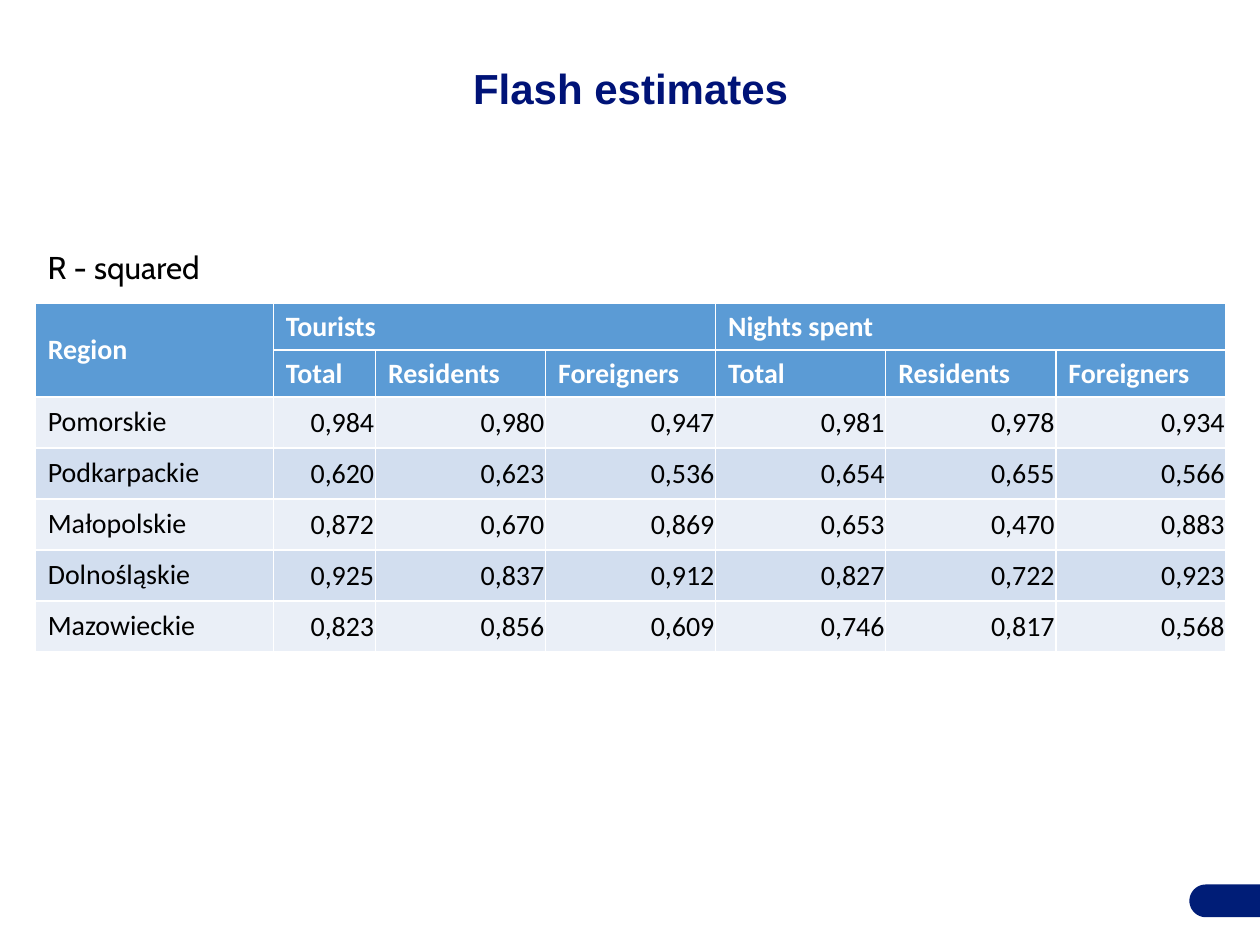
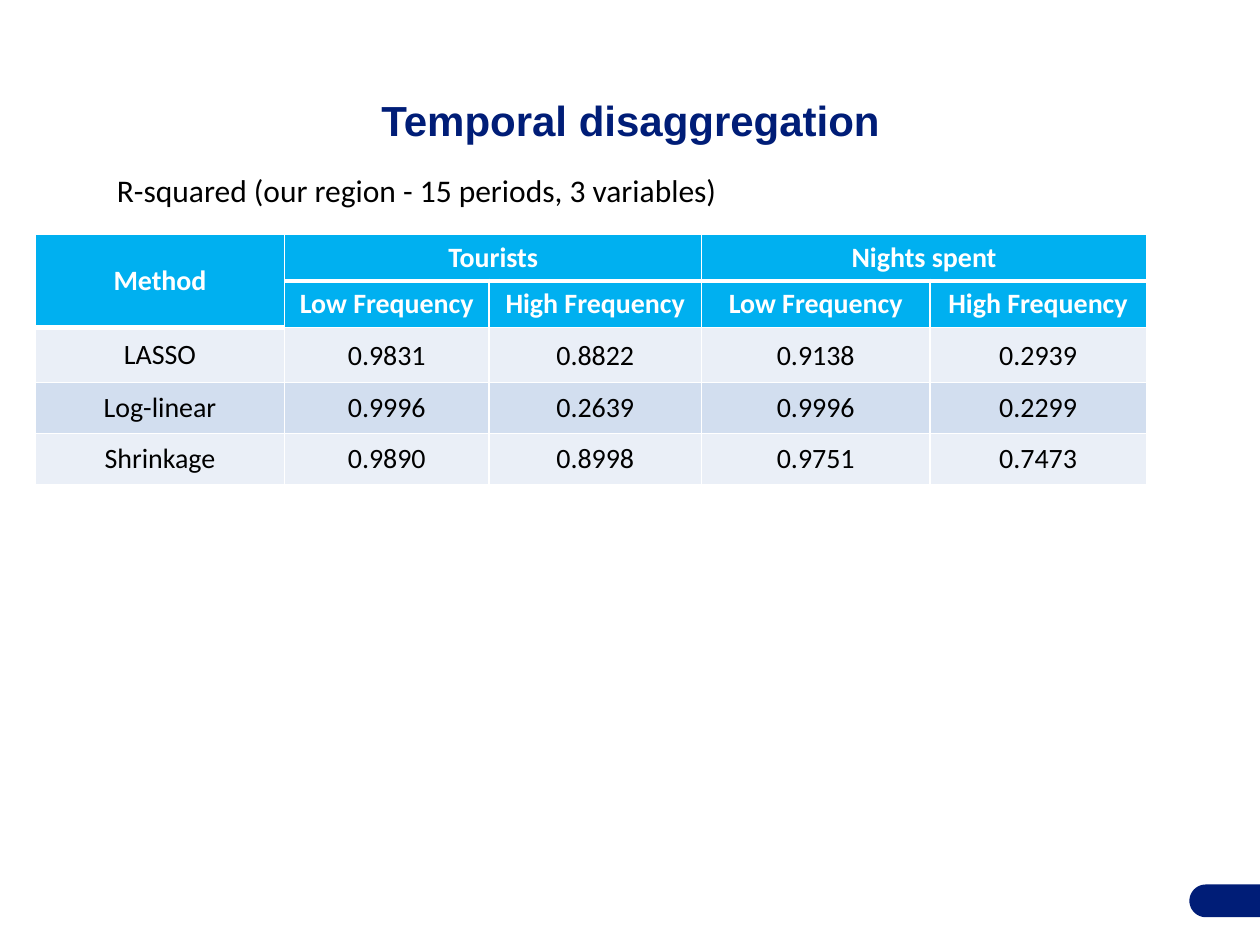
from dataclasses import dataclass
from itertools import accumulate
from math import cos, pi, sin

from lxml import etree
from pptx import Presentation
from pptx.dml.color import RGBColor
from pptx.enum.text import MSO_ANCHOR, MSO_AUTO_SIZE, PP_ALIGN
from pptx.oxml.ns import qn
from pptx.util import Inches, Pt

LEFT, CENTER, RIGHT = PP_ALIGN.LEFT, PP_ALIGN.CENTER, PP_ALIGN.RIGHT
TOP, MIDDLE, BOTTOM = MSO_ANCHOR.TOP, MSO_ANCHOR.MIDDLE, MSO_ANCHOR.BOTTOM
FIXED_SIZE = MSO_AUTO_SIZE.NONE

SLIDE_WIDTH, SLIDE_HEIGHT = Inches(10), Inches(7.5)
GRID_COLUMNS = 100
GRID_UNIT = SLIDE_WIDTH / GRID_COLUMNS
TITLE_ONLY = 5
HEADER_ROWS = 2
HEADER_HEIGHT = 3.7
THIN_RULE = 1

COLORS = {
    "title": "001377",
    "navy": "001D77",
    "blue": "5B9BD5",
    "cyan": "00B0F0",
    "light band": "EAEFF7",
    "dark band": "D2DEEF",
    "black": "000000",
    "white": "FFFFFF",
}


@dataclass(frozen=True)
class Area:
    left: float
    top: float
    width: float
    height: float

    def lengths(self) -> tuple[int, ...]:
        return tuple(grid(value) for value in (self.left, self.top, self.width, self.height))


@dataclass(frozen=True)
class TextStyle:
    font: str
    size: int
    color: str
    bold: bool = False
    align: PP_ALIGN = LEFT
    spacing: float = 1.0


@dataclass(frozen=True)
class TableDesign:
    left: float
    top: float
    widths: tuple[float, ...]
    body_heights: tuple[float, ...]
    header_color: str
    header_anchor: MSO_ANCHOR
    label_align: PP_ALIGN
    value_align: PP_ALIGN
    header_rule: int


@dataclass(frozen=True)
class ResultsPage:
    title: str
    title_top: float
    title_color: str
    caption: str
    caption_area: Area
    caption_style: TextStyle
    corner: str
    groups: tuple[str, ...]
    measures: tuple[str, ...]
    results: dict[str, str]
    design: TableDesign


PAGES = (
    ResultsPage(
        title="Flash estimates",
        title_top=1.6,
        title_color="title",
        caption="R - squared",
        caption_area=Area(2.8, 19.4, 94.5, 3.9),
        caption_style=TextStyle("Cabin", 18, "black", spacing=0.9),
        corner="Region",
        groups=("Tourists", "Nights spent"),
        measures=("Total", "Residents", "Foreigners"),
        results={
            "Pomorskie": "0,984 0,980 0,947 0,981 0,978 0,934",
            "Podkarpackie": "0,620 0,623 0,536 0,654 0,655 0,566",
            "Małopolskie": "0,872 0,670 0,869 0,653 0,470 0,883",
            "Dolnośląskie": "0,925 0,837 0,912 0,827 0,722 0,923",
            "Mazowieckie": "0,823 0,856 0,609 0,746 0,817 0,568",
        },
        design=TableDesign(
            2.8, 24.1, (18.9, 8.1) + (13.5,) * 5, (4.05,) * 5,
            "blue", TOP, LEFT, RIGHT, THIN_RULE,
        ),
    ),
    ResultsPage(
        title="Temporal disaggregation",
        title_top=4.1,
        title_color="navy",
        caption="R-squared (our region - 15 periods, 3 variables)",
        caption_area=Area(8.3, 13.1, 72.4, 4),
        caption_style=TextStyle("Calibri", 18, "black"),
        corner="Method",
        groups=("Tourists", "Nights spent"),
        measures=("Low Frequency", "High Frequency"),
        results={
            "LASSO": "0.9831 0.8822 0.9138 0.2939",
            "Log-linear": "0.9996 0.2639 0.9996 0.2299",
            "Shrinkage": "0.9890 0.8998 0.9751 0.7473",
        },
        design=TableDesign(
            2.8, 18.6, (19.8, 16.2, 16.9, 18.1, 17.2), (4.35, 4.05, 4.05),
            "cyan", MIDDLE, CENTER, CENTER, 3,
        ),
    ),
)


def grid(units: float) -> int:
    return round(units * GRID_UNIT)


def color(name: str) -> RGBColor:
    return RGBColor.from_string(COLORS[name])


def write(frame, text: str, style: TextStyle) -> None:
    para = frame.paragraphs[0]
    para.alignment = style.align
    para.line_spacing = style.spacing
    span = para.add_run()
    span.text = text
    span.font.name = style.font
    span.font.size = Pt(style.size)
    span.font.bold = style.bold
    span.font.color.rgb = color(style.color)


def draw_title(page, content: ResultsPage) -> None:
    title = page.shapes.title
    area = Area(2.8, content.title_top, 94.5, 7.9)
    title.left, title.top, title.width, title.height = area.lengths()
    frame = title.text_frame
    frame.auto_size = FIXED_SIZE
    frame.word_wrap = True
    frame.vertical_anchor = BOTTOM
    frame.margin_left = frame.margin_right = 0
    write(frame, content.title, TextStyle("Arial", 24, content.title_color, True, CENTER, 1.5))


def draw_caption(page, content: ResultsPage) -> None:
    box = page.shapes.add_textbox(*content.caption_area.lengths())
    frame = box.text_frame
    frame.word_wrap = True
    frame.vertical_anchor = MIDDLE
    write(frame, content.caption, content.caption_style)


def draw_corner_tab(page) -> None:
    left, top, radius = 94.4, 70.2, 1.3
    center_x, center_y = left + radius, top + radius
    steps = 24
    angles = [pi / 2 + pi * step / steps for step in range(steps + 1)]
    arc = [
        (grid(center_x + radius * cos(angle)), grid(center_y + radius * sin(angle)))
        for angle in angles
    ]
    builder = page.shapes.build_freeform(SLIDE_WIDTH, grid(top + 2 * radius))
    builder.add_line_segments(arc + [(SLIDE_WIDTH, grid(top))], close=True)
    tab = builder.convert_to_shape()
    tab.shadow.inherit = False
    tab.fill.solid()
    tab.fill.fore_color.rgb = color("navy")
    tab.line.fill.background()


def set_borders(cell, top: int, bottom: int) -> None:
    properties = cell._tc.get_or_add_tcPr()
    weights = {"L": THIN_RULE, "R": THIN_RULE, "T": top, "B": bottom}
    for position, (side, weight) in enumerate(weights.items()):
        line = etree.Element(qn(f"a:ln{side}"), w=str(Pt(weight)))
        fill = etree.SubElement(line, qn("a:solidFill"))
        etree.SubElement(fill, qn("a:srgbClr"), val=COLORS["white"])
        properties.insert(position, line)


def rule_below(row: int, column: int, design: TableDesign) -> int:
    is_heavy = row == 0 or (row == 1 and column == 0)
    return design.header_rule if is_heavy else THIN_RULE


def format_cell(cell, row: int, column: int, design: TableDesign) -> None:
    is_header = row < HEADER_ROWS
    bands = ("light band", "dark band")
    cell.fill.solid()
    cell.fill.fore_color.rgb = color(design.header_color if is_header else bands[row % 2])
    cell.vertical_anchor = design.header_anchor if is_header and column else MIDDLE
    if not is_header and column:
        cell.margin_left = cell.margin_right = cell.margin_top = Inches(0.01)
        cell.margin_bottom = 0
    set_borders(cell, rule_below(row - 1, column, design), rule_below(row, column, design))


def table_texts(content: ResultsPage) -> list[list[str]]:
    blanks = [""] * (len(content.measures) - 1)
    group_row = [content.corner]
    for group in content.groups:
        group_row += [group, *blanks]
    measure_row = ["", *content.measures * len(content.groups)]
    body = [[label, *values.split()] for label, values in content.results.items()]
    return [group_row, measure_row, *body]


def draw_table(page, content: ResultsPage) -> None:
    design = content.design
    texts = table_texts(content)
    heights = (HEADER_HEIGHT,) * HEADER_ROWS + design.body_heights
    area = Area(design.left, design.top, sum(design.widths), sum(heights))
    table = page.shapes.add_table(len(heights), len(design.widths), *area.lengths()).table
    edges = [0, *accumulate(grid(width) for width in design.widths)]
    for column, start, end in zip(table.columns, edges, edges[1:]):
        column.width = end - start
    for row, height in zip(table.rows, heights):
        row.height = grid(height)

    for row, row_texts in enumerate(texts):
        for column, text in enumerate(row_texts):
            cell = table.cell(row, column)
            format_cell(cell, row, column, design)
            is_header = row < HEADER_ROWS
            align = design.label_align if is_header or column == 0 else design.value_align
            style = TextStyle("Calibri", 16, "white" if is_header else "black", is_header, align)
            if text:
                write(cell.text_frame, text, style)

    table.cell(0, 0).merge(table.cell(1, 0))
    span = len(content.measures)
    for first in range(1, len(design.widths), span):
        table.cell(0, first).merge(table.cell(0, first + span - 1))


def main() -> None:
    deck = Presentation()
    deck.slide_width, deck.slide_height = SLIDE_WIDTH, SLIDE_HEIGHT
    for content in PAGES:
        page = deck.slides.add_slide(deck.slide_layouts[TITLE_ONLY])
        draw_corner_tab(page)
        draw_title(page, content)
        draw_caption(page, content)
        draw_table(page, content)
    deck.save("out.pptx")


if __name__ == "__main__":
    main()
